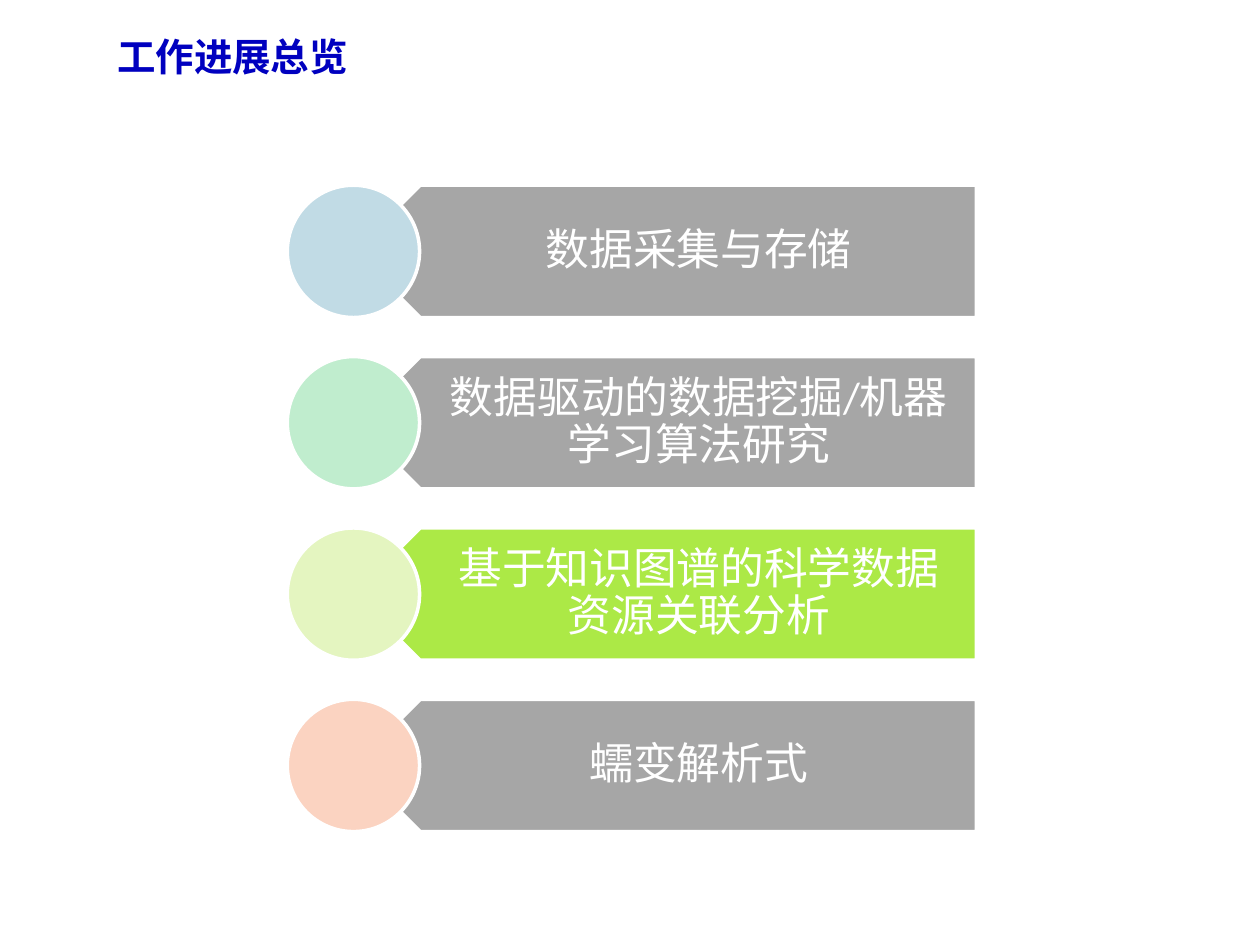
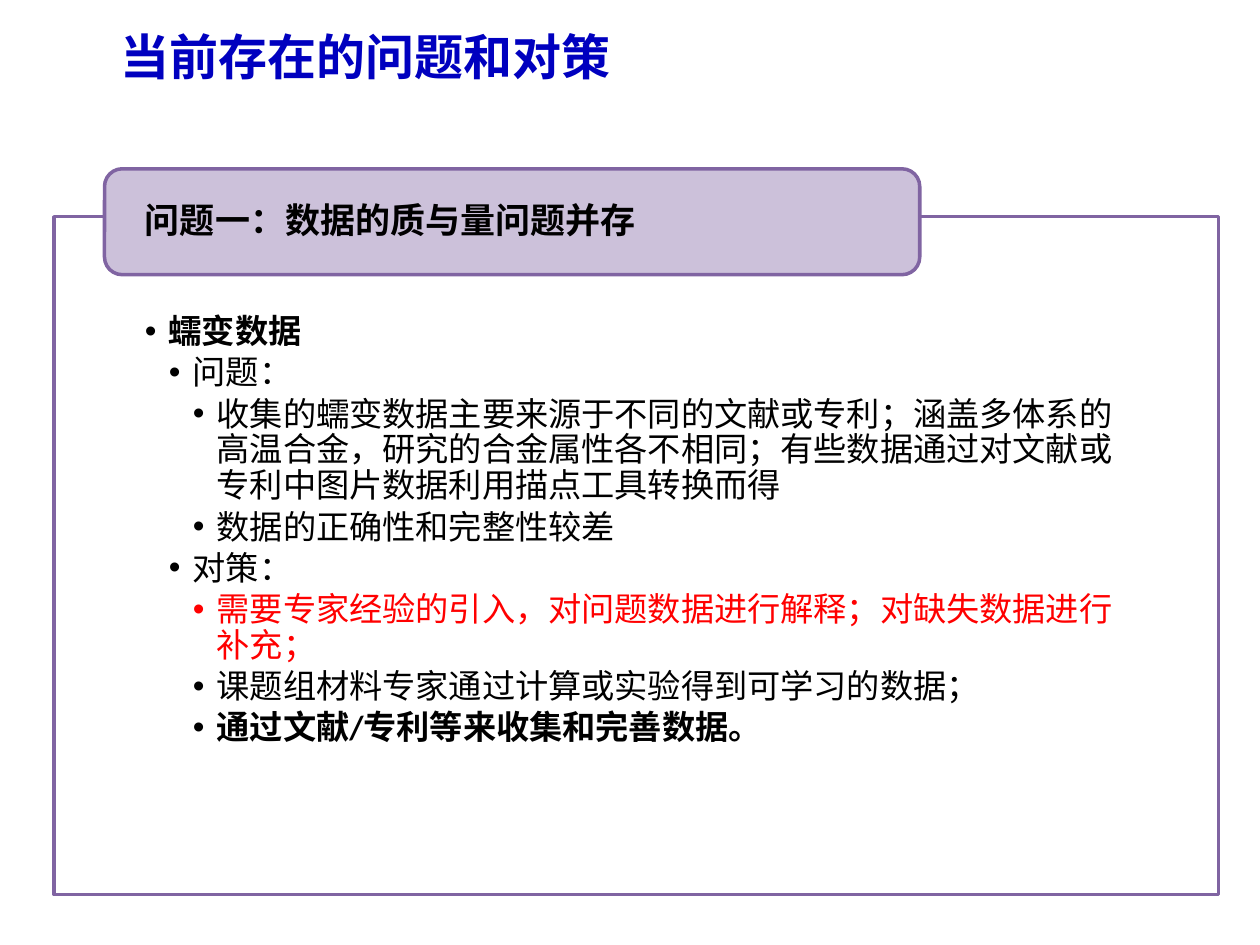
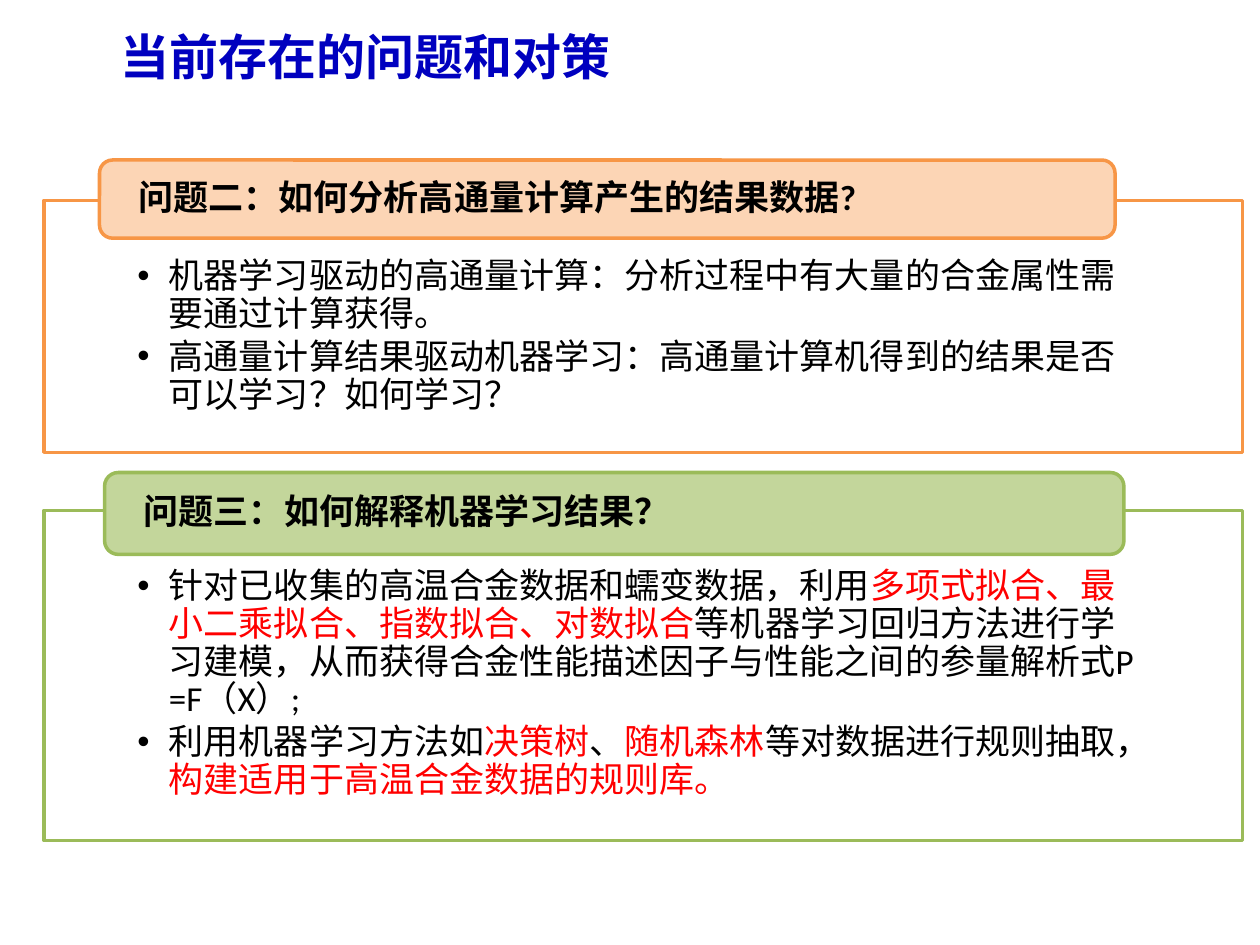
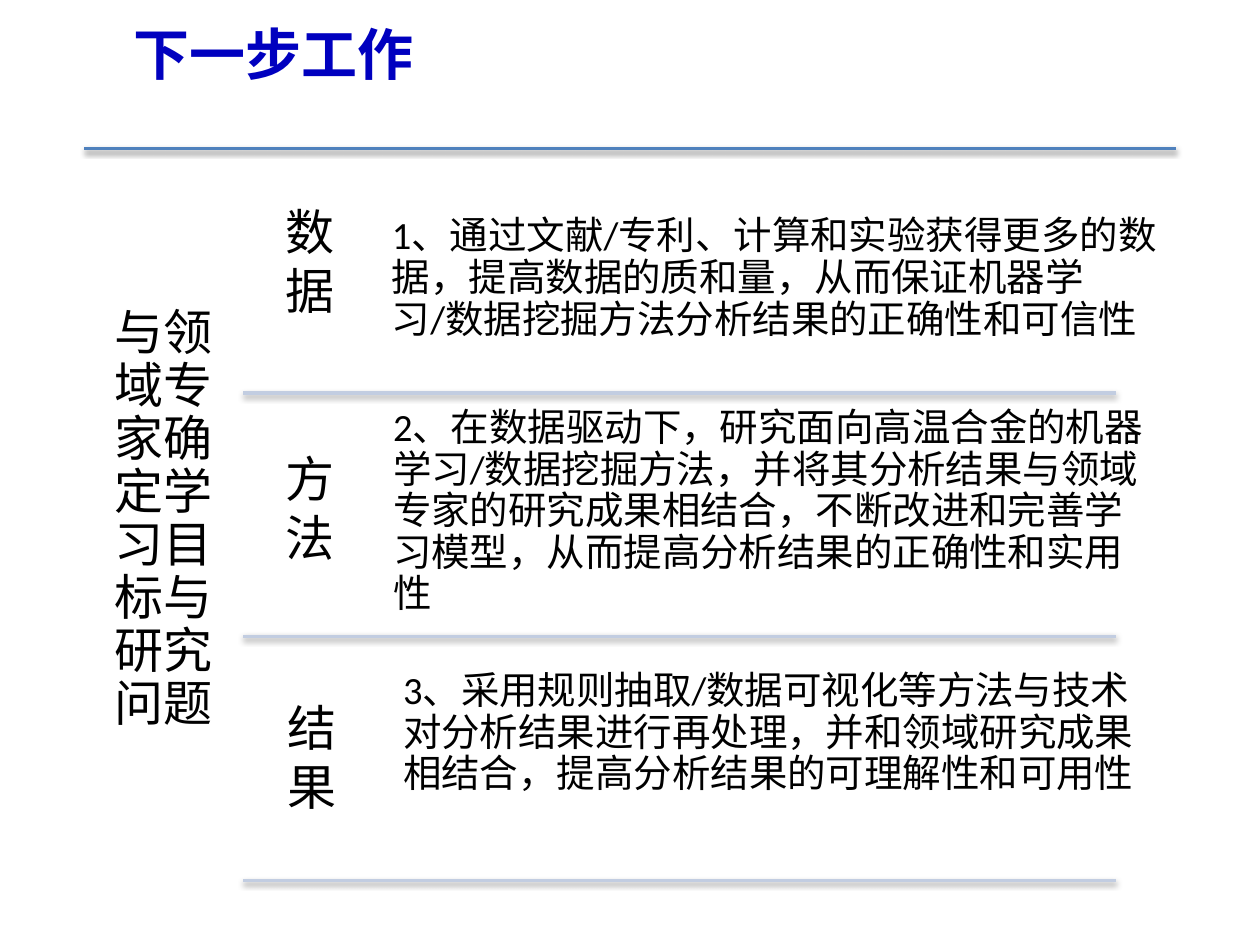
from lxml.etree import SubElement
from pptx import Presentation
from pptx.dml.color import RGBColor
from pptx.enum.shapes import MSO_CONNECTOR, MSO_SHAPE
from pptx.enum.text import MSO_ANCHOR, MSO_AUTO_SIZE, PP_ALIGN
from pptx.oxml.ns import qn
from pptx.util import Pt

PX = 9144
LATIN = "Calibri"
CHINESE = "Noto Sans CJK SC"
WHITE = RGBColor(0xFF, 0xFF, 0xFF)
BLACK = RGBColor(0x00, 0x00, 0x00)
RED = RGBColor(0xFF, 0x00, 0x00)
TITLE_BLUE = RGBColor(0x00, 0x00, 0xBF)
GRAY = RGBColor(0xA6, 0xA6, 0xA6)
LIME = RGBColor(0xAC, 0xE9, 0x46)
PALE_BLUE = RGBColor(0xC1, 0xDB, 0xE5)
PALE_MINT = RGBColor(0xC0, 0xED, 0xCE)
PALE_LIME = RGBColor(0xE4, 0xF5, 0xC0)
PALE_PEACH = RGBColor(0xFB, 0xD3, 0xC1)
PURPLE = RGBColor(0x80, 0x64, 0xA2)
LILAC = RGBColor(0xCC, 0xC1, 0xDA)
ORANGE = RGBColor(0xF7, 0x96, 0x46)
APRICOT = RGBColor(0xFC, 0xD5, 0xB5)
GREEN = RGBColor(0x9B, 0xBB, 0x59)
SAGE = RGBColor(0xC3, 0xD6, 0x9B)
RULE_BLUE = RGBColor(0x4F, 0x81, 0xBD)
RULE_PALE = RGBColor(0xC2, 0xCD, 0xE1)

TITLE_ONLY, ONE_LIST, TWO_LISTS = 5, 1, 3

STAGES = [
    ("数据采集与存储", GRAY, PALE_BLUE),
    ("数据驱动的数据挖掘/机器学习算法研究", GRAY, PALE_MINT),
    ("基于知识图谱的科学数据资源关联分析", LIME, PALE_LIME),
    ("蠕变解析式", GRAY, PALE_PEACH),
]

CREEP_DATA = [
    (1, [("蠕变数据", BLACK, True)]),
    (2, [("问题：", BLACK, False)]),
    (3, [("收集的蠕变数据主要来源于不同的文献或专利；涵盖多体系的高温合金，研究的合金属性各不相同；"
          "有些数据通过对文献或专利中图片数据利用描点工具转换而得", BLACK, False)]),
    (3, [("数据的正确性和完整性较差", BLACK, False)]),
    (2, [("对策：", BLACK, False)]),
    (3, [("需要专家经验的引入，对问题数据进行解释；对缺失数据进行补充；", RED, False)]),
    (3, [("课题组材料专家通过计算或实验得到可学习的数据；", BLACK, False)]),
    (3, [("通过文献/专利等来收集和完善数据。", BLACK, True)]),
]

HIGH_THROUGHPUT = [
    (1, [("机器学习驱动的高通量计算：分析过程中有大量的合金属性需要通过计算获得。", BLACK, False)]),
    (1, [("高通量计算结果驱动机器学习：高通量计算机得到的结果是否可以学习？如何学习？", BLACK, False)]),
]

EXPLANATION = [
    (1, [("针对已收集的高温合金数据和蠕变数据，利用", BLACK, False),
         ("多项式拟合、最小二乘拟合、指数拟合、对数拟合", RED, False),
         ("等机器学习回归方法进行学习建模，从而获得合金性能描述因子与性能之间的参量解析式P =F（X）;",
          BLACK, False)]),
    (1, [("利用机器学习方法如", BLACK, False),
         ("决策树", RED, False),
         ("、", BLACK, False),
         ("随机森林", RED, False),
         ("等对数据进行规则抽取，", BLACK, False),
         ("构建适用于高温合金数据的规则库。", RED, False)]),
]

NEXT_STEPS = [
    (["数", "据"], (217, 155, 59, 104), (302, 163, 631, 184),
     "1、通过文献/专利、计算和实验获得更多的数据，提高数据的质和量，"
     "从而保证机器学习/数据挖掘方法分析结果的正确性和可信性"),
    (["方法"], (217, 351, 70, 104), (303, 315, 620, 184),
     "2、在数据驱动下，研究面向高温合金的机器学习/数据挖掘方法，并将其分析结果与领域专家的研究成果相结合，"
     "不断改进和完善学习模型，从而提高分析结果的正确性和实用性"),
    (["结果"], (218, 549, 70, 104), (311, 524, 614, 184),
     "3、采用规则抽取/数据可视化等方法与技术对分析结果进行再处理，并和领域研究成果相结合，"
     "提高分析结果的可理解性和可用性"),
]


def scaled(box):
    return [length * PX for length in box]


def apply_format(target, **values):
    for name, value in values.items():
        setattr(target, name, value)


def place(shape, box):
    left, top, width, height = scaled(box)
    apply_format(shape, left=left, top=top, width=width, height=height)


def set_frame(frame, insets, anchor):
    left, top, right, bottom = scaled(insets)
    apply_format(frame, margin_left=left, margin_top=top, margin_right=right,
                 margin_bottom=bottom, vertical_anchor=anchor,
                 word_wrap=True, auto_size=MSO_AUTO_SIZE.NONE)


def add_span(para, text, size, color, bold=False, latin=LATIN):
    span = para.add_run()
    span.text = text
    apply_format(span.font, name=latin, size=Pt(size), bold=bold)
    SubElement(span.font._element, qn("a:ea")).set("typeface", CHINESE)
    span.font.color.rgb = color


def paragraphs(frame, count):
    yield frame.paragraphs[0]
    for _ in range(count - 1):
        yield frame.add_paragraph()


def write(frame, lines, size, color=BLACK, bold=False, align=PP_ALIGN.LEFT, spacing=0.9):
    for para, line in zip(paragraphs(frame, len(lines)), lines):
        apply_format(para, alignment=align, line_spacing=spacing)
        add_span(para, line, size, color, bold)


def add_text(page, box, lines, size, insets, anchor=MSO_ANCHOR.TOP, **style):
    frame = page.shapes.add_textbox(*scaled(box)).text_frame
    set_frame(frame, insets, anchor)
    write(frame, lines, size, **style)


def paint(shape, fill, line):
    shape.fill.solid()
    shape.fill.fore_color.rgb = fill
    shape.line.color.rgb = line
    shape.line.width = Pt(2)


def add_preset(page, kind, box, fill, line):
    shape = page.shapes.add_shape(kind, *scaled(box))
    shape.shadow.inherit = False
    paint(shape, fill, line)
    return shape


def add_page(deck, layout, title, box, size):
    page = deck.slides.add_slide(deck.slide_layouts[layout])
    heading = page.shapes.title
    place(heading, box)
    set_frame(heading.text_frame, (10, 5, 10, 5), MSO_ANCHOR.MIDDLE)
    para = heading.text_frame.paragraphs[0]
    para.alignment = PP_ALIGN.LEFT
    add_span(para, title, size, TITLE_BLUE, True, CHINESE)
    return page


def add_stage(page, box, label, bar_color, disc_color):
    left, top, width, height = box
    half = height // 2
    bar_left = left + half + 1
    bar = add_preset(page, MSO_SHAPE.PENTAGON,
                     (bar_left, top, left + width - bar_left, height), bar_color, WHITE)
    bar.rotation = 180
    label_left = bar_left + half // 2
    add_text(page, (label_left, top, left + width - label_left, height), [label], 25,
             (46, 10, 19, 10), MSO_ANCHOR.MIDDLE, color=WHITE, align=PP_ALIGN.CENTER)
    add_preset(page, MSO_SHAPE.OVAL, (left, top, height, height), disc_color, WHITE)


def add_bullet(para, level, indent):
    para.level = level
    properties = para._p.get_or_add_pPr()
    properties.set("marL", str(indent * level * PX))
    properties.set("indent", str(-indent * PX))
    SubElement(properties, qn("a:buFont")).set("typeface", "Arial")
    SubElement(properties, qn("a:buChar")).set("char", "•")


def fill_list(frame, items, size, indent):
    for para, (level, spans) in zip(paragraphs(frame, len(items)), items):
        add_bullet(para, level, indent)
        apply_format(para, alignment=PP_ALIGN.LEFT, line_spacing=0.9,
                     space_before=Pt(0), space_after=Pt(3))
        for text, color, bold in spans:
            add_span(para, text, size, color, bold)


def add_problem(page, body, box, tab, question, items, colors, insets, size=20, indent=25):
    line, tab_fill = colors
    place(body, box)
    paint(body, WHITE, line)
    set_frame(body.text_frame, insets, MSO_ANCHOR.TOP)
    fill_list(body.text_frame, items, size, indent)
    left, top, _, _ = box
    offset_x, offset_y, width, height = tab
    header = add_preset(page, MSO_SHAPE.ROUNDED_RECTANGLE,
                        (left + offset_x, top + offset_y, width, height), tab_fill, line)
    set_frame(header.text_frame, (28, 0, 28, 0), MSO_ANCHOR.MIDDLE)
    write(header.text_frame, [question], 20, bold=True)


def add_rule(page, left, right, top, color):
    rule = page.shapes.add_connector(MSO_CONNECTOR.STRAIGHT,
                                     *scaled((left, top, right, top)))
    rule.line.color.rgb = color
    rule.line.width = Pt(2)
    effects = SubElement(rule._element.spPr, qn("a:effectLst"))
    shadow = SubElement(effects, qn("a:outerShdw"), blurRad="40000", dist="20000",
                        dir="5400000", rotWithShape="0")
    black = SubElement(shadow, qn("a:srgbClr"), val="000000")
    SubElement(black, qn("a:alpha"), val="38000")


def build_overview(deck):
    page = add_page(deck, TITLE_ONLY, "工作进展总览", (83, 1, 910, 87), 22)
    for index, stage in enumerate(STAGES):
        add_stage(page, (228, 147 + 136 * index, 547, 105), *stage)


def build_first_problem(deck):
    page = add_page(deck, ONE_LIST, "当前存在的问题和对策", (86, 1, 900, 87), 28)
    add_problem(page, page.placeholders[1], (43, 172, 924, 538), (40, -38, 647, 84),
                "问题一：数据的质与量问题并存", CREEP_DATA, (PURPLE, LILAC),
                (72, 78, 72, 15), 19, 19)


def build_other_problems(deck):
    page = add_page(deck, TWO_LISTS, "当前存在的问题和对策", (86, 1, 900, 87), 28)
    insets = (74, 46, 74, 16)
    add_problem(page, page.placeholders[1], (35, 159, 951, 200), (44, -32, 806, 62),
                "问题二：如何分析高通量计算产生的结果数据?", HIGH_THROUGHPUT,
                (ORANGE, APRICOT), insets)
    add_problem(page, page.placeholders[2], (35, 405, 951, 262), (48, -30, 809, 65),
                "问题三：如何解释机器学习结果？", EXPLANATION, (GREEN, SAGE), insets)


def build_next_steps(deck):
    page = add_page(deck, TITLE_ONLY, "下一步工作", (96, -1, 900, 87), 32)
    add_rule(page, 67, 933, 118, RULE_BLUE)
    add_text(page, (67, 118, 126, 590), ["与领域专家确定学习目标与研究问题"], 28,
             (12, 12, 12, 12), MSO_ANCHOR.MIDDLE, align=PP_ALIGN.CENTER)
    for index, (label, label_box, detail_box, detail) in enumerate(NEXT_STEPS):
        add_text(page, label_box, label, 28, (10, 5, 9, 5), spacing=1.0)
        add_text(page, detail_box, [detail], 22, (9, 9, 9, 9))
        add_rule(page, 193, 886, 312 + 387 * index // 2, RULE_PALE)


def main():
    deck = Presentation()
    apply_format(deck, slide_width=1000 * PX, slide_height=750 * PX)
    build_overview(deck)
    build_first_problem(deck)
    build_other_problems(deck)
    build_next_steps(deck)
    deck.save("out.pptx")


if __name__ == "__main__":
    main()
